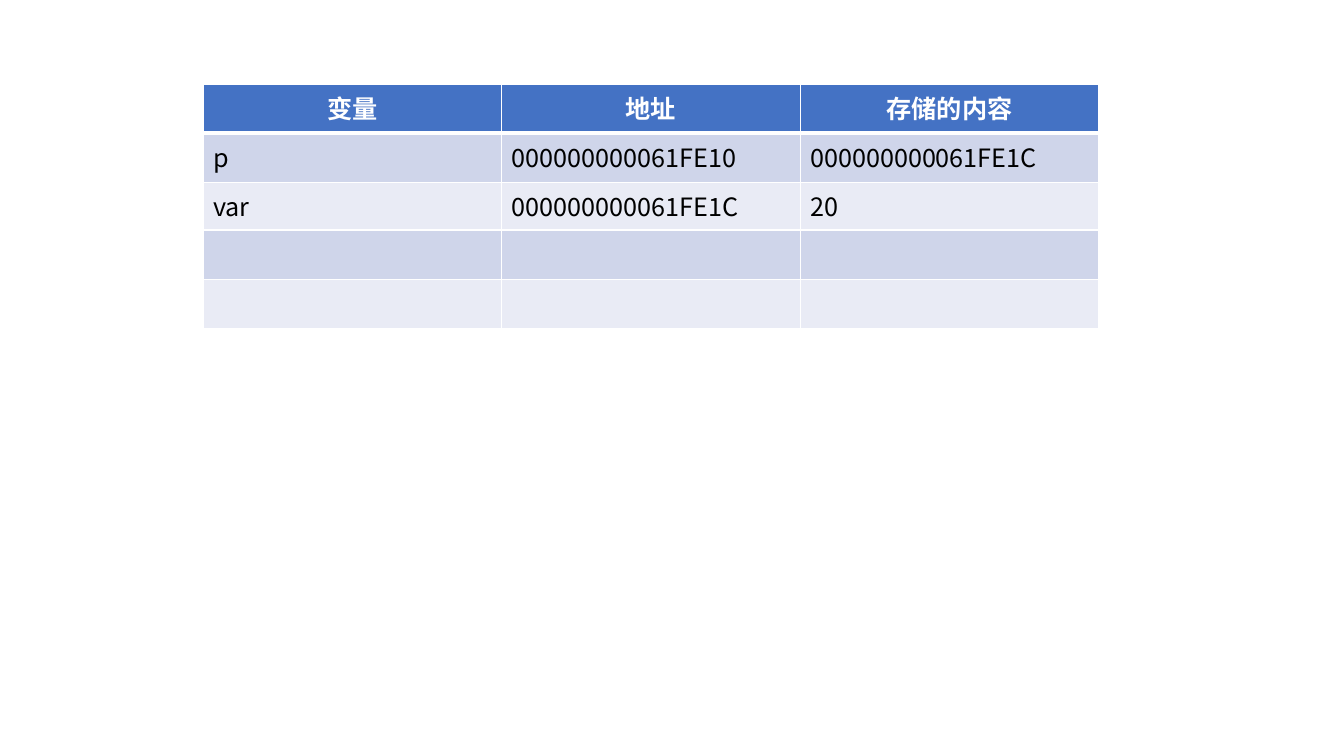
"""Build a slide with a table of variables, their addresses and stored contents."""
import lxml.etree
import pptx
import pptx.dml.color
import pptx.enum.text
import pptx.oxml.ns
import pptx.util

Pt = pptx.util.Pt
RGBColor = pptx.dml.color.RGBColor
qn = pptx.oxml.ns.qn

THEME = {
    "font": "Noto Sans CJK SC",
    "size": 18,
    "header": "4472C4",
    "bands": ["CFD5EA", "E9EBF5"],
    "header_text": "FFFFFF",
    "body_text": "000000",
    "border": "FFFFFF",
}
ROWS = [
    ["变量", "地址", "存储的内容"],
    ["p", "000000000061FE10", "000000000061FE1C"],
    ["var", "000000000061FE1C", "20"],
    ["", "", ""],
    ["", "", ""],
]
ROW_HEIGHTS = [35.1, 35.1, 34.1, 35.1, 35.1]
COLUMN_WIDTH = 213.3


def add_border(cell, side, width):
    """Draw one edge of a table cell."""
    properties = cell._tc.get_or_add_tcPr()
    line = lxml.etree.SubElement(properties, qn(f"a:ln{side}"), w=str(Pt(width)))
    fill = lxml.etree.SubElement(line, qn("a:solidFill"))
    lxml.etree.SubElement(fill, qn("a:srgbClr"), val=THEME["border"])


presentation = pptx.Presentation()
presentation.slide_width = Pt(960)
presentation.slide_height = Pt(540)
slide = presentation.slides.add_slide(presentation.slide_layouts[6])

table = slide.shapes.add_table(
    len(ROWS), len(ROWS[0]), Pt(145), Pt(60),
    Pt(COLUMN_WIDTH * len(ROWS[0])), Pt(sum(ROW_HEIGHTS)),
).table
for column in table.columns:
    column.width = Pt(COLUMN_WIDTH)

for row_index, texts in enumerate(ROWS):
    table.rows[row_index].height = Pt(ROW_HEIGHTS[row_index])
    is_header = row_index == 0
    fill_color = THEME["header"] if is_header else THEME["bands"][(row_index - 1) % 2]
    text_color = THEME["header_text"] if is_header else THEME["body_text"]
    font_format = {"name": THEME["font"], "size": Pt(THEME["size"]), "bold": is_header}
    border_widths = {"L": 1, "R": 1, "T": 3 if row_index == 1 else 1, "B": 3 if is_header else 1}

    for column_index, text in enumerate(texts):
        cell = table.cell(row_index, column_index)
        for side, width in border_widths.items():
            add_border(cell, side, width)
        cell.fill.solid()
        cell.fill.fore_color.rgb = RGBColor.from_string(fill_color)
        if not text:
            continue
        paragraph = cell.text_frame.paragraphs[0]
        if is_header:
            paragraph.alignment = pptx.enum.text.PP_ALIGN.CENTER
        run = paragraph.add_run()
        run.text = text
        for attribute, value in font_format.items():
            setattr(run.font, attribute, value)
        run.font.color.rgb = RGBColor.from_string(text_color)
        lxml.etree.SubElement(run._r.get_or_add_rPr(), qn("a:ea"), typeface=THEME["font"])

presentation.save("out.pptx")
